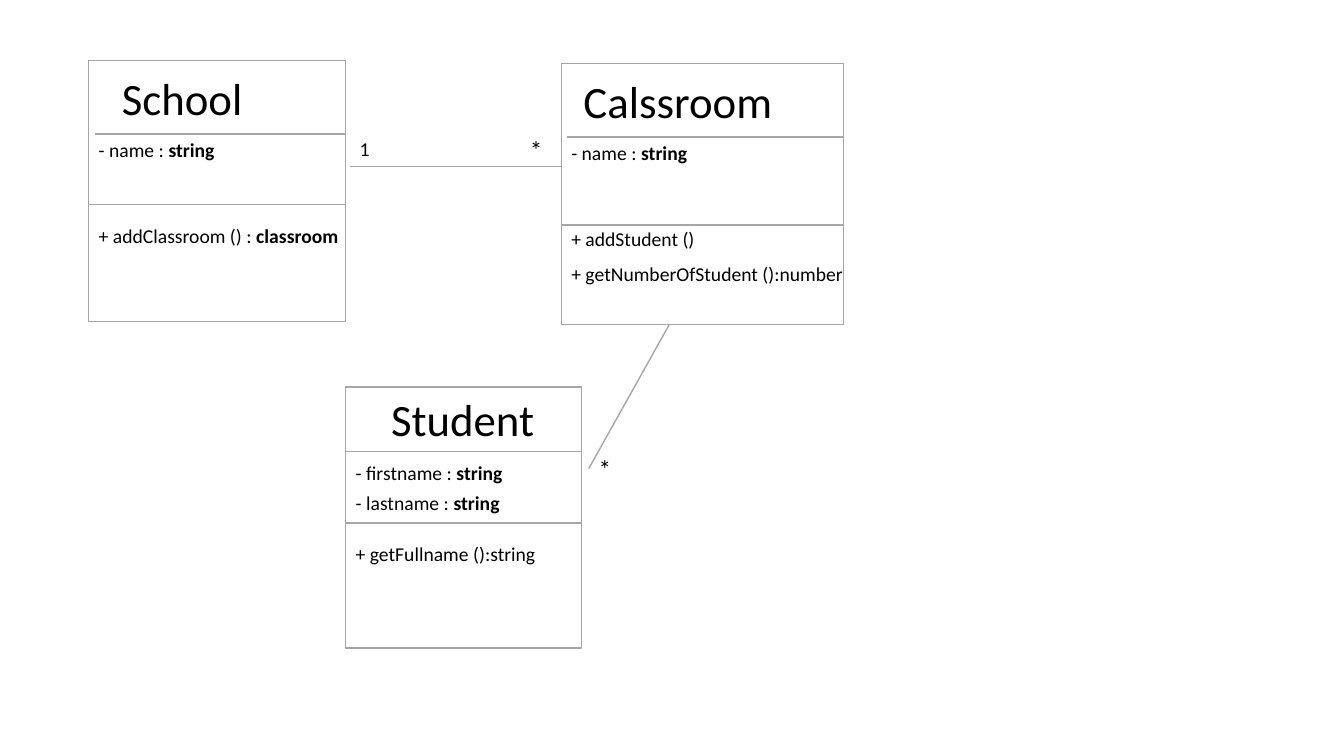
"""Draws a UML class diagram of a school, its classrooms and their students."""
from lxml import etree
from pptx import Presentation
from pptx.dml.color import RGBColor
from pptx.enum import shapes, text
from pptx.util import Pt

COLORS = {"fill": "FFFFFF", "border": "A5A5A5", "line": "A6A6A6", "text": "000000"}
FONT = "Calibri"
BOX_HEIGHT = 186.5

CLASSES = [
    {"box": (63.4, 43.2, 183.6),
     "title": ("School", 79.9, 46.8, 101.5),
     "dividers": [(4.3, 95.8), (0, 146.2)],
     "members": [("- name : ", "string", 95, 97.9),
                 ("+ addClassroom () : ", "classroom", 156.2, 193)]},
    {"box": (401, 45.4, 201.6),
     "title": ("Calssroom", 409.7, 49, 150.5),
     "dividers": [(4.3, 97.9), (0, 160.6)],
     "members": [("- name : ", "string", 97.2, 97.9),
                 ("+ addStudent ()", "", 158.4, 103.7),
                 ("+ getNumberOfStudent ():number", "", 183.6, 210.2)]},
    {"box": (247, 276.5, 168.5),
     "title": ("Student", 272.2, 276.5, 123.1),
     "dividers": [(0, 322.6), (0, 373.7)],
     "members": [("- firstname : ", "string", 325.4, 120.2),
                 ("- lastname : ", "string", 347, 118.1),
                 ("+ getFullname ():string", "", 383.8, 144)]},
]
LINKS = [(249.8, 118.8, 412.6, 118.8), (478.1, 231.8, 420.5, 334.8)]
MULTIPLICITIES = [("1", 249.8, 94.3, 21.6, 14), ("*", 371.5, 92.2, 23.8, 18),
                  ("*", 420.5, 320.4, 23.8, 18)]


def add_text(slide, words, left, top, width, size=14, bold_part=""):
    sp = slide.shapes.add_textbox(Pt(left), Pt(top), Pt(width), Pt(size * 1.2 + 7.2))
    tf = sp.text_frame
    tf.word_wrap = False
    tf.auto_size = text.MSO_AUTO_SIZE.SHAPE_TO_FIT_TEXT
    p = tf.paragraphs[0]
    for part, bold in ((words, False), (bold_part, True)):
        if part:
            r = p.add_run()
            r.text = part
            r.font.name, r.font.size, r.font.bold = FONT, Pt(size), bold
            r.font.color.rgb = RGBColor.from_string(COLORS["text"])


def add_line(slide, *ends):
    line = slide.shapes.add_connector(shapes.MSO_CONNECTOR.STRAIGHT, *map(Pt, ends))
    line.line.color.rgb = RGBColor.from_string(COLORS["line"])
    line.line.width = Pt(1)
    props = line.line._get_or_add_ln().getparent()
    etree.SubElement(props, "{http://schemas.openxmlformats.org/drawingml/2006/main}effectLst")


def add_class(slide, box, title, dividers, members):
    left, top, width = box
    sp = slide.shapes.add_shape(shapes.MSO_SHAPE.RECTANGLE,
                                Pt(left), Pt(top), Pt(width), Pt(BOX_HEIGHT))
    sp.shadow.inherit = False
    sp.fill.solid()
    sp.fill.fore_color.rgb = RGBColor.from_string(COLORS["fill"])
    sp.line.color.rgb = RGBColor.from_string(COLORS["border"])
    sp.line.width = Pt(1)
    add_text(slide, *title, size=32)
    for inset, y in dividers:
        add_line(slide, left + inset, y, left + width, y)
    for words, kind, y, text_width in members:
        add_text(slide, words, left, y, text_width, bold_part=kind)


def main():
    prs = Presentation()
    prs.slide_width, prs.slide_height = Pt(960), Pt(540)
    slide = prs.slides.add_slide(prs.slide_layouts[6])
    for link in LINKS:
        add_line(slide, *link)
    for item in CLASSES:
        add_class(slide, **item)
    for mark in MULTIPLICITIES:
        add_text(slide, *mark)
    prs.save("out.pptx")


if __name__ == "__main__":
    main()
